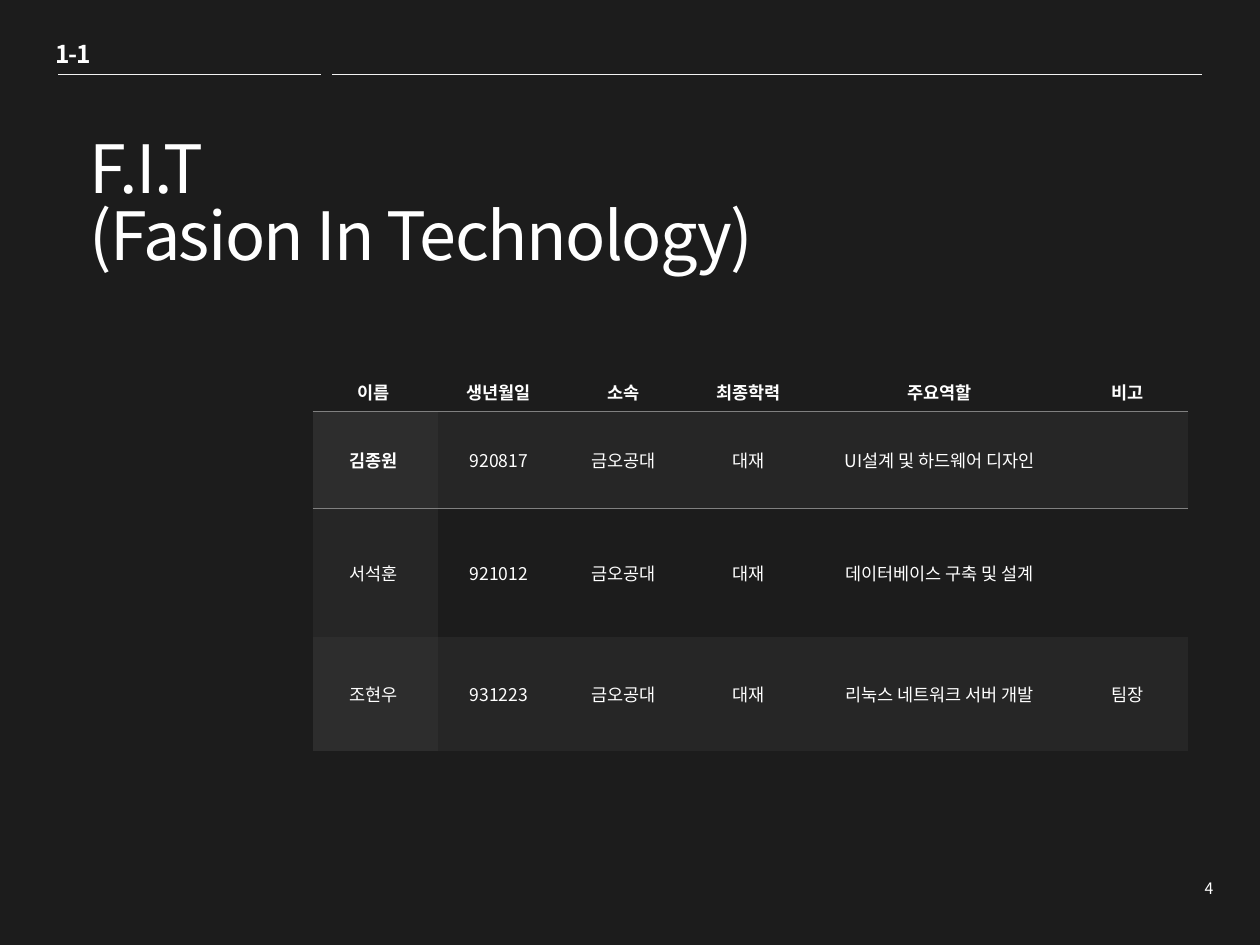
"""Builds the team member slide of the F.I.T project deck."""
from lxml import etree
from pptx import Presentation
from pptx import util as u
from pptx.dml.color import RGBColor
from pptx.enum import shapes, text
from pptx.oxml import ns

COLOURS = {
    "ground": "1C1C1C",
    "ink": "FFFFFF",
    "rule": "F2F2F2",
    "border": "808080",
    "band": "262626",
    "crossing": "2D2D2D",
}
PLAIN_TABLE = "{2D5ABB26-0587-4C30-8999-92F81FD0307C}"
MEMBERS = [
    ["이름", "생년월일", "소속", "최종학력", "주요역할", "비고"],
    ["김종원", "920817", "금오공대", "대재", "UI설계 및 하드웨어 디자인", ""],
    ["서석훈", "921012", "금오공대", "대재", "데이터베이스 구축 및 설계", ""],
    ["조현우", "931223", "금오공대", "대재", "리눅스 네트워크 서버 개발", "팀장"],
]


class Sheet:
    """Holds the style and the current slide."""

    font = "Noto Sans CJK KR"

    def __init__(self, deck):
        self.page = deck.slides.add_slide(deck.slide_layouts[5])
        ground = self.page.background.fill
        ground.solid()
        ground.fore_color.rgb = self.colour("ground")

    def colour(self, name):
        return RGBColor.from_string(COLOURS[name])

    def format(self, frame, size, bold=False, align=text.PP_ALIGN.LEFT, spacing=0):
        for para in frame.paragraphs:
            para.alignment = align
            for span in para.runs:
                span.font.size = u.Pt(size)
                span.font.bold = bold
                span.font.name = self.font
                span.font.color.rgb = self.colour("ink")
                props = span.font._element
                props.set("spc", str(round(spacing * 100)))
                etree.SubElement(props, ns.qn("a:ea"), typeface=self.font)

    def title(self, words, left, top, width, height):
        box = self.page.shapes.title
        box.left, box.top = u.Cm(left), u.Cm(top)
        box.width, box.height = u.Cm(width), u.Cm(height)
        frame = box.text_frame
        frame.text = words
        frame.auto_size = text.MSO_AUTO_SIZE.NONE
        frame.vertical_anchor = text.MSO_ANCHOR.MIDDLE
        frame.paragraphs[0].line_spacing = 0.83
        self.format(frame, 38, spacing=-0.9)

    def label(self, words, left, top, width, height, size, **style):
        box = self.page.shapes.add_textbox(u.Cm(left), u.Cm(top), u.Cm(width), u.Cm(height))
        frame = box.text_frame
        frame.text = words
        frame.word_wrap = False
        self.format(frame, size, **style)

    def rule(self, start, end, height):
        line = self.page.shapes.add_connector(
            shapes.MSO_CONNECTOR.STRAIGHT, u.Cm(start), u.Cm(height), u.Cm(end), u.Cm(height))
        line.line.color.rgb = self.colour("rule")
        line.line.width = u.Pt(0.25)
        etree.SubElement(line._element.spPr, ns.qn("a:effectLst"))

    def border(self, cell, side):
        edge = etree.Element(ns.qn(f"a:{side}"), w=str(u.Pt(0.25)))
        fill = etree.SubElement(edge, ns.qn("a:solidFill"))
        etree.SubElement(fill, ns.qn("a:srgbClr"), val=COLOURS["border"])
        cell._tc.get_or_add_tcPr().insert(0, edge)

    def cell(self, cell, words, row, column):
        cell.text = words
        cell.vertical_anchor = text.MSO_ANCHOR.MIDDLE
        cell.margin_left, cell.margin_right = u.Cm(0.2), u.Cm(0.25)
        cell.margin_top = cell.margin_bottom = u.Cm(0.13)
        bold = row == 0 or (row, column) == (1, 0)
        self.format(cell.text_frame, 10, bold, text.PP_ALIGN.CENTER)
        layers = (row % 2) + (row > 0 and column == 0)
        if layers:
            cell.fill.solid()
            cell.fill.fore_color.rgb = self.colour(["band", "crossing"][layers - 1])
        else:
            cell.fill.background()
        if row < 2:
            self.border(cell, ["lnB", "lnT"][row])

    def table(self, rows, left, top, widths, heights):
        frame = self.page.shapes.add_table(
            len(rows), len(widths), u.Cm(left), u.Cm(top), u.Cm(sum(widths)), u.Cm(sum(heights)))
        table = frame.table
        table.first_row = table.horz_banding = False
        table._tbl.tblPr.find(ns.qn("a:tableStyleId")).text = PLAIN_TABLE
        for column, width in zip(table.columns, widths):
            column.width = u.Cm(width)
        for line, height in zip(table.rows, heights):
            line.height = u.Cm(height)
        for row, entries in enumerate(rows):
            for column, words in enumerate(entries):
                self.cell(table.cell(row, column), words, row, column)


def main():
    deck = Presentation()
    deck.slide_width, deck.slide_height = u.Cm(25.4), u.Cm(19.05)
    sheet = Sheet(deck)
    sheet.table(MEMBERS, 6.3, 7.52, [2.52] * 4 + [5.18, 2.39], [0.53, 1.96, 2.59, 2.31])
    sheet.label("1-1", 0.86, 0.66, 1.24, 0.86, 14, bold=True, spacing=-0.5)
    for start, end in [(1.17, 6.48), (6.7, 24.23)]:
        sheet.rule(start, end, 1.5)
    sheet.label("4", 24, 17.6, 0.71, 0.64, 9, align=text.PP_ALIGN.RIGHT)
    sheet.title("F.I.T\v(Fasion In Technology)", 1.55, 2.13, 18.19, 4.09)
    deck.save("out.pptx")


if __name__ == "__main__":
    main()
